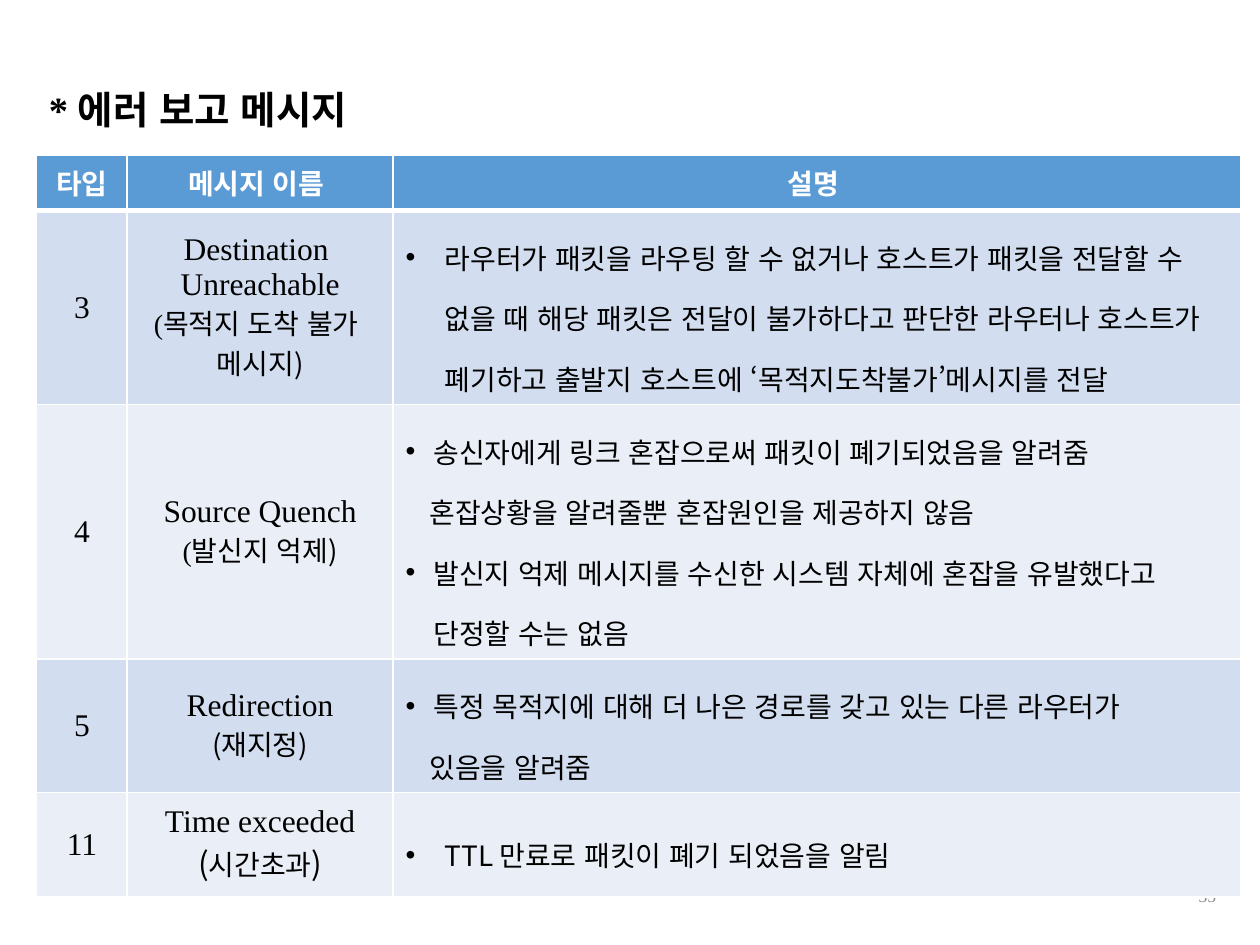
from typing import NamedTuple

from lxml.etree import SubElement
from pptx import Presentation
from pptx.dml.color import RGBColor
from pptx.enum.lang import MSO_LANGUAGE_ID
from pptx.enum.text import MSO_ANCHOR, PP_ALIGN
from pptx.oxml.ns import qn
from pptx.util import Inches, Pt

COLORS = {"header": "5B9BD5", "odd": "D2DEEF", "even": "EAEFF7",
          "white": "FFFFFF", "black": "000000", "number": "8C8C8C"}
SERIF, SANS = "Times New Roman", "Noto Sans CJK KR"


class Run(NamedTuple):
    text: str
    size: float = 16
    font: str = SANS
    color: str = "black"
    bold: bool = False


class Para(NamedTuple):
    runs: list[Run]
    align: PP_ALIGN = PP_ALIGN.LEFT
    spacing: float = 1.0
    indent: float = 0
    bullet: bool = False


def centered(*runs: Run) -> Para:
    return Para(list(runs), PP_ALIGN.CENTER)


def english(text: str) -> Para:
    return centered(Run(text, 18, SERIF))


def heading(text: str) -> Para:
    return centered(Run(text, color="white", bold=True))


def detail(text: str, indent: float = 0.22, bullet: bool = True) -> Para:
    return Para([Run(text)], spacing=1.5, indent=indent, bullet=bullet)


def rgb(name: str) -> RGBColor:
    return RGBColor.from_string(COLORS[name])


def add_run(p, run: Run) -> None:
    r = p.add_run()
    r.text = run.text
    r.font.size = Pt(run.size)
    r.font.bold = run.bold
    r.font.language_id = MSO_LANGUAGE_ID.KOREAN
    r.font.color.rgb = rgb(run.color)
    r.font.name = run.font
    SubElement(r.font._element, qn("a:ea"), typeface=SANS)


def write(tf, paras: list[Para]) -> None:
    for i, para in enumerate(paras):
        p = tf.add_paragraph() if i else tf.paragraphs[0]
        p.alignment = para.align
        p.line_spacing = para.spacing
        pPr = p._p.get_or_add_pPr()
        pPr.set("marL", str(Inches(para.indent)))
        pPr.set("indent", str(-Inches(para.indent) if para.bullet else 0))
        if para.bullet:
            SubElement(pPr, qn("a:buFont"), typeface="Arial")
            SubElement(pPr, qn("a:buChar"), char="•")
        for run in para.runs:
            add_run(p, run)


def add_text(s, left: float, top: float, width: float, height: float, para: Para) -> None:
    tb = s.shapes.add_textbox(Inches(left), Inches(top), Inches(width), Inches(height))
    tf = tb.text_frame
    tf.word_wrap = True
    tf.vertical_anchor = MSO_ANCHOR.MIDDLE
    write(tf, [para])


def set_borders(cell, bottom: float) -> None:
    """Draw white cell borders; they must precede the fill in the XML."""
    tcPr = cell._tc.get_or_add_tcPr()
    for side, width in (("L", 1), ("R", 1), ("T", 1), ("B", bottom)):
        ln = SubElement(tcPr, qn(f"a:ln{side}"), w=str(Pt(width)))
        fill = SubElement(ln, qn("a:solidFill"))
        SubElement(fill, qn("a:srgbClr"), val=COLORS["white"])


COLUMNS = [0.72, 2.11, 6.73]
HEIGHTS = [0.44, 1.54, 2.02, 1.06, 0.83]
ROWS = [
    [[heading("타입")], [heading("메시지 이름 ")], [heading("설명 ")]],
    [[english("3")],
     [english("Destination "), english("Unreachable"),
      centered(Run("(", font=SERIF), Run("목적지 도착 불가 ")), centered(Run("메시지)"))],
     [detail("라우터가 패킷을 라우팅 할 수 없거나 호스트가 패킷을 전달할 수 없을 때 "
             "해당 패킷은 전달이 불가하다고 판단한 라우터나 호스트가 폐기하고 출발지 "
             "호스트에 ‘목적지도착불가’메시지를 전달", 0.31)]],
    [[english("4")],
     [english("Source Quench"), centered(Run("(", font=SERIF), Run("발신지 억제)"))],
     [detail("송신자에게 링크 혼잡으로써 패킷이 폐기되었음을 알려줌"),
      detail("혼잡상황을 알려줄뿐 혼잡원인을 제공하지 않음", 0.19, False),
      detail("발신지 억제 메시지를 수신한 시스템 자체에 혼잡을 유발했다고 단정할 수는 없음")]],
    [[english("5")],
     [english("Redirection"), centered(Run("(재지정)"))],
     [detail("특정 목적지에 대해 더 나은 경로를 갖고 있는 다른 라우터가"),
      detail("있음을 알려줌", 0.19, False)]],
    [[english("11")],
     [english("Time exceeded"), centered(Run("(", 18), Run("시간초과"), Run(")", 18))],
     [detail("TTL 만료로 패킷이 폐기 되었음을 알림", 0.31)]],
]


def add_message_table(s) -> None:
    frame = s.shapes.add_table(len(ROWS), len(COLUMNS), Inches(0.29), Inches(1.23),
                               Inches(sum(COLUMNS)), Inches(sum(HEIGHTS)))
    table = frame.table
    for column, width in zip(table.columns, COLUMNS):
        column.width = Inches(width)
    for i, (row, height) in enumerate(zip(ROWS, HEIGHTS)):
        table.rows[i].height = Inches(height)
        fill = "header" if i == 0 else "odd" if i % 2 else "even"
        for j, paras in enumerate(row):
            cell = table.cell(i, j)
            set_borders(cell, 1 if i else 3)
            cell.fill.solid()
            cell.fill.fore_color.rgb = rgb(fill)
            cell.vertical_anchor = MSO_ANCHOR.MIDDLE
            if i and j == 2:
                cell.margin_right = Inches(0.2)
            write(cell.text_frame, paras)


def main() -> None:
    prs = Presentation()
    prs.slide_width, prs.slide_height = Inches(10), Inches(7.5)
    s = prs.slides.add_slide(prs.slide_layouts[6])
    add_text(s, 7.5, 6.91, 2.25, 0.4,
             Para([Run("35", 10, SERIF, "number")], PP_ALIGN.RIGHT))
    add_message_table(s)
    add_text(s, 0.29, 0.43, 8.96, 0.92,
             Para([Run("* 에러 보고 메시지", 22, SERIF, bold=True)], spacing=0.9))
    prs.save("out.pptx")


if __name__ == "__main__":
    main()
